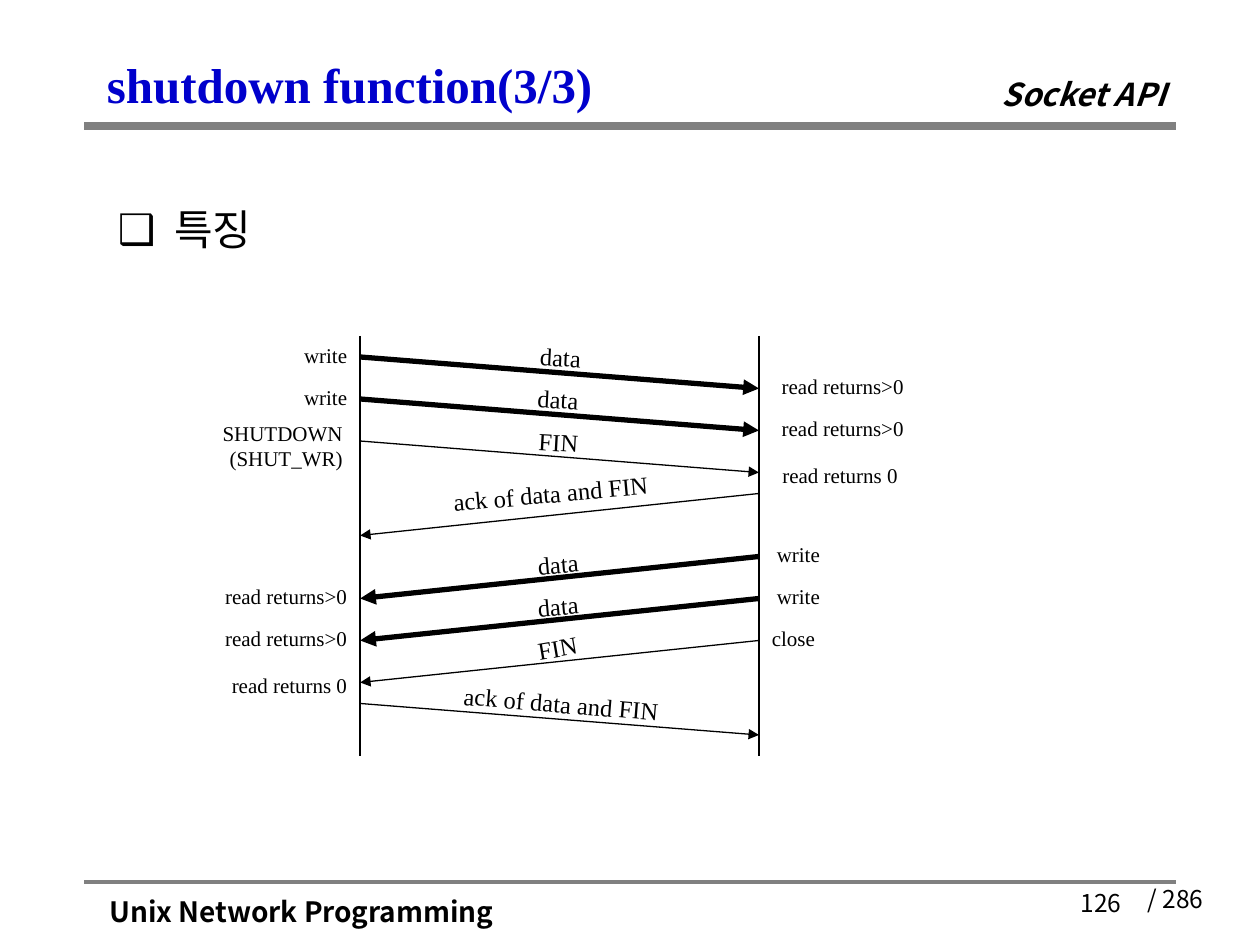
from lxml import etree
from pptx import Presentation
from pptx.dml.color import RGBColor
from pptx.enum.shapes import MSO_CONNECTOR
from pptx.enum.text import MSO_ANCHOR, MSO_AUTO_SIZE, PP_ALIGN
from pptx.oxml.ns import qn
from pptx.util import Cm, Pt

STRAIGHT = MSO_CONNECTOR.STRAIGHT
LEFT, CENTER, RIGHT = PP_ALIGN.LEFT, PP_ALIGN.CENTER, PP_ALIGN.RIGHT
MIDDLE, TOP = MSO_ANCHOR.MIDDLE, MSO_ANCHOR.TOP
NO_FIT, GROW = MSO_AUTO_SIZE.NONE, MSO_AUTO_SIZE.SHAPE_TO_FIT_TEXT

COLORS = {"title": "0000CC", "text": "000000", "rule": "808080"}
SERIF, SANS = "Times New Roman", "Noto Sans CJK KR"
TICK = 2.54 / 12  # vertical grid of the sequence diagram, in cm
CLIENT_X, SERVER_X = 7.26, 15.3


def write(box, lines, size, font, align=LEFT, color="text", bold=False, italic=False, wrap=False):
    """Fill a box with one paragraph per line."""
    frame = box.text_frame
    frame.word_wrap = wrap
    frame.auto_size = NO_FIT if wrap else GROW
    for number, line in enumerate(lines):
        para = frame.add_paragraph() if number else frame.paragraphs[0]
        para.alignment = align
        span = para.add_run()
        span.text = line
        span.font.size = Pt(size)
        span.font.name = font
        span.font.bold, span.font.italic = bold, italic
        span.font.color.rgb = RGBColor.from_string(COLORS[color])
        east_asian = etree.SubElement(span.font._element, qn("a:ea"))
        east_asian.set("typeface", font)


def add_line(shapes, start, end, weight, color="text", arrow=False):
    """Draw a straight line between two (x, y) points given in cm."""
    line = shapes.add_connector(STRAIGHT, *(Cm(v) for v in (*start, *end)))
    line.line.color.rgb = RGBColor.from_string(COLORS[color])
    line.line.width = Pt(weight)
    if arrow:
        etree.SubElement(line.line._get_or_add_ln(), qn("a:tailEnd")).set("type", "triangle")
    etree.SubElement(line._element.spPr, qn("a:effectLst"))


deck = Presentation()
deck.slide_width, deck.slide_height = Cm(25.4), Cm(19.05)
page = deck.slides.add_slide(deck.slide_layouts[1])

# Title
title = page.shapes.title
title.left, title.top, title.width, title.height = Cm(1.9), Cm(0.85), Cm(21.6), Cm(1.7)
title.text_frame.vertical_anchor = MIDDLE
write(title, ["shutdown function(3/3)"], 28, SERIF, color="title", bold=True, wrap=True)

# Bullet list
body = page.placeholders[1]
body.left, body.top, body.width, body.height = Cm(2.12), Cm(4.02), Cm(21.6), Cm(13.1)
body.text_frame.vertical_anchor = TOP
bullet_para = body.text_frame.paragraphs[0]
bullet_format = bullet_para._p.get_or_add_pPr()
bullet_format.set("marL", str(Cm(0.95)))
bullet_format.set("indent", str(-Cm(0.95)))
etree.SubElement(bullet_format, qn("a:buChar")).set("char", "❑")
bullet_para.line_spacing = 0.99
write(body, [" 특징"], 24, SANS, wrap=True)

# Header and footer rules
for y, weight in ((2.54, 4.5), (17.78, 2.25)):
    add_line(page.shapes, (1.7, y), (23.7, y), weight, "rule")

# Header and footer texts: text, left, top, width, height, size, bold, italic
for text, left, top, width, height, size, bold, italic in (
    ("Socket API", 19.94, 1.39, 3.86, 1.02, 18, True, True),
    ("Unix Network Programming", 1.96, 17.91, 8.48, 0.94, 16, True, False),
    ("/ 286", 22.88, 17.7, 1.68, 0.86, 14, False, False),
):
    box = page.shapes.add_textbox(Cm(left), Cm(top), Cm(width), Cm(height))
    write(box, [text], size, SANS, bold=bold, italic=italic)
number_box = page.shapes.add_textbox(Cm(17.58), Cm(17.78), Cm(5.28), Cm(1.27))
write(number_box, ["126"], 14, SANS, RIGHT, wrap=True)

# Lifelines of client and server
diagram = page.shapes.add_group_shape().shapes
for x in (CLIENT_X, SERVER_X):
    add_line(diagram, (x, 32 * TICK), (x, 72 * TICK), 0.75)

# Messages: from client, start tick, end tick, weight,
# caption, caption centre, caption top tick, caption width, rotation
MESSAGES = (
    (True, 34, 37, 3, "data", 11.3, 32, 1.45, 3.1),
    (True, 38, 41, 3, "data", 11.25, 36, 1.45, 3.1),
    (True, 42, 45, 0.75, "FIN", 11.26, 40.1, 1.45, 3.1),
    (False, 47, 51, 0.75, "ack of data and FIN", 11.1, 45, 4.5, 354.8),
    (False, 53, 57, 3, "data", 11.25, 51.7, 1.45, 354.8),
    (False, 57, 61, 3, "data", 11.25, 55.7, 1.45, 354.8),
    (False, 61, 65, 0.75, "FIN", 11.24, 59.7, 1.45, 350.2),
    (True, 67, 70, 0.75, "ack of data and FIN", 11.31, 65, 4.5, 4.7),
)
for from_client, start, end, weight, caption, centre, top, width, angle in MESSAGES:
    source, target = (CLIENT_X, SERVER_X) if from_client else (SERVER_X, CLIENT_X)
    add_line(diagram, (source, start * TICK), (target, end * TICK), weight, arrow=True)
    box = diagram.add_textbox(Cm(centre - width / 2), Cm(top * TICK), Cm(width), Cm(0.86))
    box.rotation = angle
    write(box, [caption], 14, SERIF, CENTER)

# Calls on both sides: lines, right edge, top tick, width
SHORT_W, LONG_W = 1.45, 3.05
CALLS = (
    (["write"], 7.25, 32, SHORT_W),
    (["write"], 7.25, 36, SHORT_W),
    (["SHUTDOWN", "(SHUT_WR)"], 7.16, 39.45, LONG_W),
    (["read returns>0"], 7.25, 55, LONG_W),
    (["read returns>0"], 7.25, 59, LONG_W),
    (["read returns 0"], 7.25, 63.45, LONG_W),
    (["read returns>0"], 18.47, 35, LONG_W),
    (["read returns>0"], 18.47, 39, LONG_W),
    (["read returns 0"], 18.35, 43.45, LONG_W),
    (["write"], 16.78, 51, SHORT_W),
    (["write"], 16.78, 55, SHORT_W),
    (["close"], 16.68, 59, SHORT_W),
)
for lines, right, top, width in CALLS:
    height = 0.76 if len(lines) == 1 else 1.27
    box = diagram.add_textbox(Cm(right - width), Cm(top * TICK), Cm(width), Cm(height))
    write(box, lines, 12, SERIF, RIGHT)

deck.save("out.pptx")
